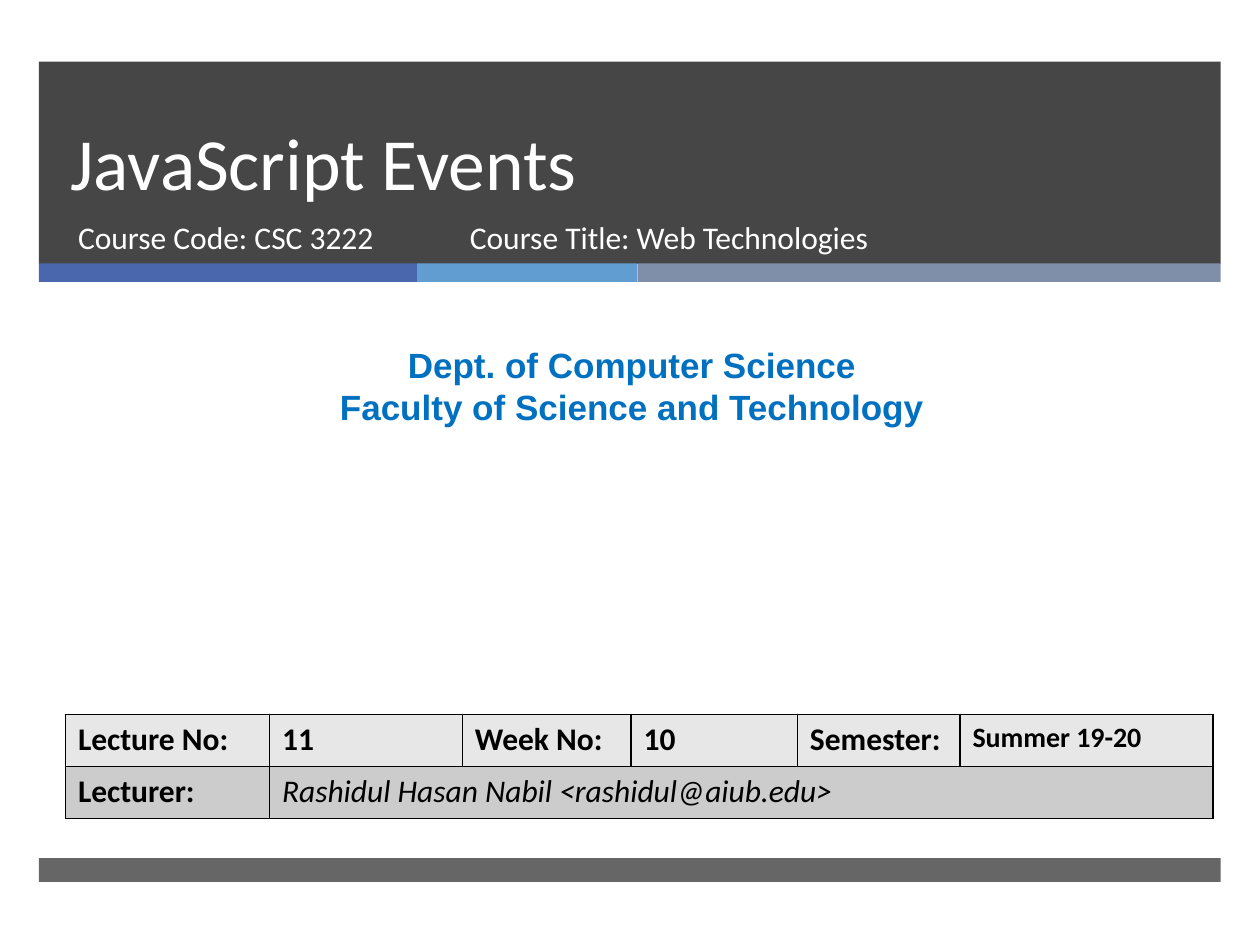
from lxml import etree
from pptx import Presentation
from pptx import util as u
from pptx.dml.color import RGBColor
from pptx.enum import shapes, text
from pptx.oxml import ns

Pt = u.Pt

COLORS = {
    "dark": "262626", "blue": "4A66AC", "sky": "629DD1", "slate": "7F8FA9",
    "white": "FFFFFF", "black": "000000", "department": "0070C0",
    "light_row": "E7E7E7", "dark_row": "CCCCCC",
}
LECTURE_TITLE = "JavaScript Events"
COURSE_CODE = "Course Code: CSC 3222"
COURSE_TITLE = "Course Title: Web Technologies"
DEPARTMENT = ["Dept. of Computer Science", "Faculty of Science and Technology"]
LECTURE_ROWS = [
    ["Lecture No:", "11", "Week No:", "10", "Semester:", "Summer 19-20"],
    ["Lecturer:", "Rashidul Hasan Nabil <rashidul@aiub.edu>"],
]
ROW_FILLS = ["light_row", "dark_row"]
COLUMN_WIDTHS = [116.6, 110.2, 96.5, 95, 92.9, 144.7]
ROW_HEIGHT = 29.8

LEFT, BAND_WIDTH = 22.3, 675.2
HEADER_TOP, HEADER_HEIGHT = 35.2, 115.6
STRIPE_TOP, STRIPE_HEIGHT = 150.5, 10.6
STRIPES = [("blue", 216), ("sky", 126), ("slate", 333.2)]
FOOTER_TOP, FOOTER_HEIGHT = 490.3, 13.7
COURSE_TOP, COURSE_HEIGHT = 121, 38


def rgb(name):
    return RGBColor.from_string(COLORS[name])


def place(shape, left, top, width, height):
    shape.left, shape.top = Pt(left), Pt(top)
    shape.width, shape.height = Pt(width), Pt(height)


def add_band(slide, left, top, width, height, color, opacity=100):
    band = slide.shapes.add_shape(
        shapes.MSO_SHAPE.RECTANGLE, Pt(left), Pt(top), Pt(width), Pt(height))
    band.shadow.inherit = False
    band.line.fill.background()
    band.fill.solid()
    band.fill.fore_color.rgb = rgb(color)
    if opacity < 100:
        fill_color = band.fill._xPr.find(".//" + ns.qn("a:srgbClr"))
        etree.SubElement(fill_color, ns.qn("a:alpha"), val=str(opacity * 1000))


def write(frame, lines, size, color, font="Calibri", bold=False, italic=False,
          align=text.PP_ALIGN.LEFT, anchor=text.MSO_ANCHOR.TOP):
    frame.text = "\n".join(lines)
    frame.word_wrap = True
    frame.vertical_anchor = anchor
    for paragraph in frame.paragraphs:
        paragraph.alignment = align
        paragraph.space_before = Pt(0)
        for run in paragraph.runs:
            run.font.name, run.font.size = font, Pt(size)
            run.font.bold, run.font.italic = bold, italic
            run.font.color.rgb = rgb(color)


def add_borders(cell):
    properties = cell._tc.get_or_add_tcPr()
    for side in ("lnL", "lnR", "lnT", "lnB"):
        line = etree.SubElement(properties, ns.qn("a:" + side), w=str(Pt(1)))
        fill = etree.SubElement(line, ns.qn("a:solidFill"))
        etree.SubElement(fill, ns.qn("a:srgbClr"), val=COLORS["black"])


def add_lecture_table(slide):
    table = slide.shapes.add_table(
        len(LECTURE_ROWS), len(COLUMN_WIDTHS), Pt(37.4), Pt(408.2),
        Pt(sum(COLUMN_WIDTHS)), Pt(ROW_HEIGHT * len(LECTURE_ROWS))).table
    for column, width in zip(table.columns, COLUMN_WIDTHS):
        column.width = Pt(width)
    table.cell(1, 1).merge(table.cell(1, len(COLUMN_WIDTHS) - 1))
    for r, (values, fill) in enumerate(zip(LECTURE_ROWS, ROW_FILLS)):
        table.rows[r].height = Pt(ROW_HEIGHT)
        for c in range(len(COLUMN_WIDTHS)):
            cell = table.cell(r, c)
            add_borders(cell)
            cell.fill.solid()
            cell.fill.fore_color.rgb = rgb(fill)
            if c < len(values):
                lecturer = (r, c) == (1, 1)
                write(cell.text_frame, [values[c]], 16 if c == 5 else 18,
                      "black", bold=not lecturer, italic=lecturer)


def main():
    deck = Presentation()
    deck.slide_width, deck.slide_height = Pt(720), Pt(540)
    slide = deck.slides.add_slide(deck.slide_layouts[0])
    lecture_title, course_code = slide.shapes.title, slide.placeholders[1]

    add_band(slide, LEFT, HEADER_TOP, BAND_WIDTH, HEADER_HEIGHT, "dark", 85)
    stripe_left = LEFT
    for color, width in STRIPES:
        add_band(slide, stripe_left, STRIPE_TOP, width, STRIPE_HEIGHT, color)
        stripe_left += width
    add_band(slide, LEFT, FOOTER_TOP, BAND_WIDTH, FOOTER_HEIGHT, "dark", 70)

    for placeholder in (lecture_title, course_code):
        slide.shapes._spTree.append(placeholder._element)
        placeholder.text_frame.auto_size = text.MSO_AUTO_SIZE.NONE
    place(lecture_title, 33.1, HEADER_TOP, 615, 85.8)
    write(lecture_title.text_frame, [LECTURE_TITLE], 42, "white",
          anchor=text.MSO_ANCHOR.BOTTOM)
    lecture_title.text_frame.paragraphs[0].line_spacing = Pt(46)
    place(course_code, 37.4, COURSE_TOP, 219.6, COURSE_HEIGHT)
    write(course_code.text_frame, [COURSE_CODE], 18, "white")

    department = slide.shapes.add_textbox(Pt(5.8), Pt(193), Pt(710.6), Pt(55.4))
    write(department.text_frame, DEPARTMENT, 20, "department", font="Arial",
          bold=True, align=text.PP_ALIGN.CENTER)
    add_lecture_table(slide)
    course_title = slide.shapes.add_textbox(
        Pt(261.4), Pt(COURSE_TOP), Pt(327.6), Pt(COURSE_HEIGHT))
    write(course_title.text_frame, [COURSE_TITLE], 18, "white")
    deck.save("out.pptx")


if __name__ == "__main__":
    main()
